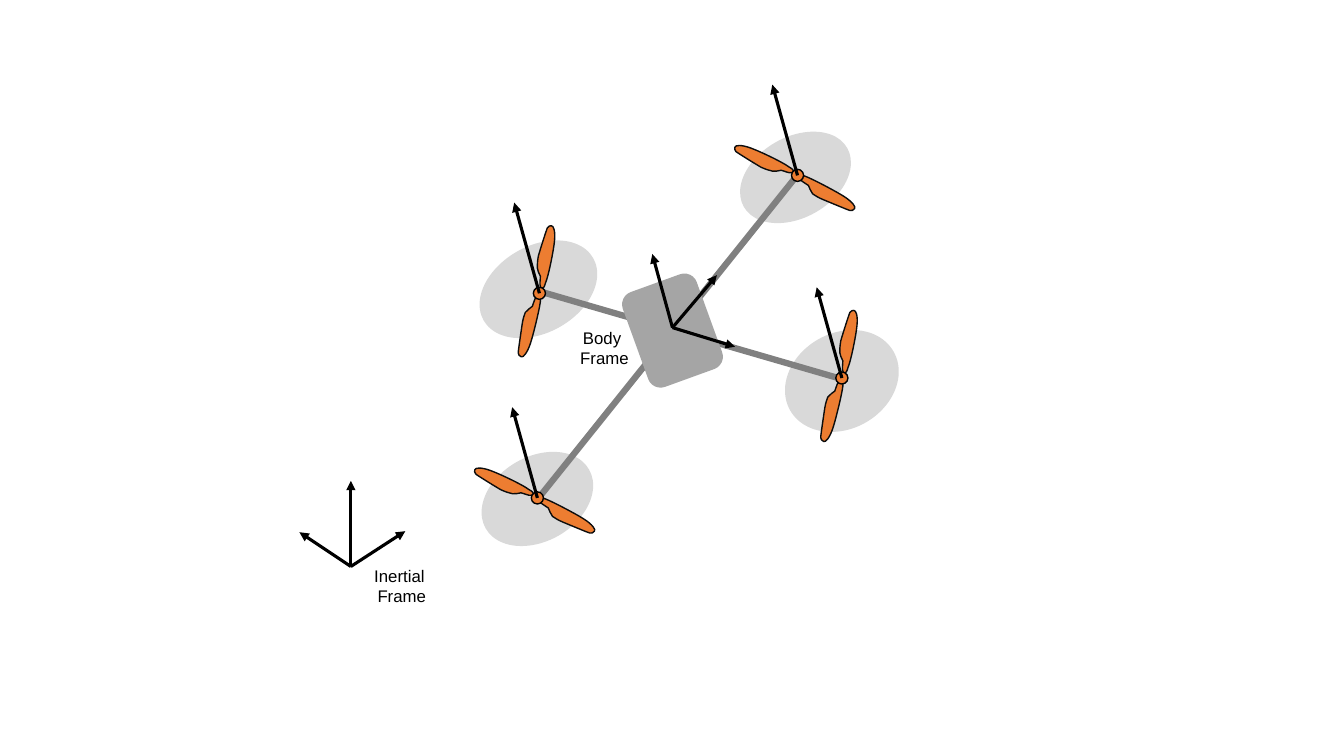
from collections import namedtuple
from math import cos, radians, sin

from pptx import Presentation
from pptx.dml.color import RGBColor
from pptx.enum.shapes import MSO_CONNECTOR, MSO_SHAPE
from pptx.enum.text import MSO_AUTO_SIZE, PP_ALIGN
from pptx.oxml.ns import qn
from pptx.util import Pt
from lxml.etree import SubElement

PX = 9144
COLORS = {
    "disc": "D9D9D9",
    "propeller": "ED7D31",
    "blade_edge": "0D0D0D",
    "arm": "808080",
    "body": "A5A5A5",
    "ink": "000000",
}
TILT = 330.4
BODY_TILT = 340.1
HUB_SIZE = 12
THRUST = (-25, -90)

Box = namedtuple("Box", "left top width height")
Rotor = namedtuple("Rotor", "hub disc_shift disc_size blade_turn")
Blade = namedtuple("Blade", "tilt controls")

ROTORS = [
    Rotor((365, 295), (0, 3), (118, 95), 0),
    Rotor((321, 94), (-2, 2), (118, 80), -75.8),
    Rotor((63, 414), (0, 1), (118, 84), -75.8),
    Rotor((65, 211), (-1, -4), (125, 86), 0),
]
ARMS = [((319, 96), (65, 413)), ((65, 209), (368, 297))]
BODY_AXES = [(-20, -73), (44, -52), (62, 19)]
INERTIAL_AXES = [(0, -85), (54, -35), (-51, -34)]

BLADES = [
    Blade(8.6, [
        (-3, 3),
        (-2, 2), (2, 0), (1, 8),
        (0, 16), (-6, 41), (-9, 50),
        (-12, 59), (-16, 64), (-18, 63),
        (-20, 62), (-21, 61), (-21, 59),
        (-21, 57), (-18, 37), (-17, 30),
        (-16, 24), (-15, 22), (-14, 19),
        (-12, 16), (-9, 15), (-7, 13),
        (-6, 10), (-4, 4), (-3, 3),
    ]),
    Blade(16.5, [
        (1, -7),
        (1, -5), (4, -2), (6, -10),
        (9, -17), (14, -42), (15, -52),
        (16, -62), (14, -67), (12, -67),
        (11, -67), (9, -67), (8, -65),
        (7, -63), (1, -44), (-1, -37),
        (-2, -31), (-2, -29), (-2, -25),
        (-2, -22), (0, -20), (1, -17),
        (1, -14), (0, -8), (1, -7),
    ]),
]


def color(name):
    return RGBColor.from_string(COLORS[name])


def shift(point, delta):
    return point[0] + delta[0], point[1] + delta[1]


def turn(point, degrees):
    (x, y), angle = point, radians(degrees)
    return x * cos(angle) - y * sin(angle), x * sin(angle) + y * cos(angle)


def paint(shape, fill, edge=None):
    shape.shadow.inherit = False
    shape.fill.solid()
    shape.fill.fore_color.rgb = color(fill)
    if edge:
        shape.line.color.rgb = color(edge)
        shape.line.width = Pt(1)
    else:
        shape.line.fill.background()


def add_centred(slide, kind, centre, size, rotation, fill, edge=None):
    (x, y), (width, height) = centre, size
    shape = slide.shapes.add_shape(
        kind, int((x - width / 2) * PX), int((y - height / 2) * PX),
        width * PX, height * PX)
    shape.rotation = rotation
    paint(shape, fill, edge)


def add_line(slide, start, end, stroke, points, arrow=False):
    line = slide.shapes.add_connector(
        MSO_CONNECTOR.STRAIGHT, *(n * PX for n in start + end))
    line.line.color.rgb = color(stroke)
    line.line.width = Pt(points)
    if arrow:
        SubElement(line.line._get_or_add_ln(), qn("a:tailEnd"), type="triangle")
    SubElement(line._element.spPr, qn("a:effectLst"))


def add_axes(slide, origin, deltas):
    for delta in deltas:
        add_line(slide, origin, shift(origin, delta), "ink", 2.25, arrow=True)


def add_label(slide, wording, box):
    frame = slide.shapes.add_textbox(*(n * PX for n in box)).text_frame
    frame.margin_left = frame.margin_right = 0
    frame.margin_top = frame.margin_bottom = 0
    frame.word_wrap = False
    frame.auto_size = MSO_AUTO_SIZE.SHAPE_TO_FIT_TEXT
    paragraph = frame.paragraphs[0]
    paragraph.text = wording
    paragraph.alignment = PP_ALIGN.CENTER
    for run in paragraph.runs:
        run.font.name = "Arial"
        run.font.size = Pt(12)
        run.font.color.rgb = color("ink")


def bend_lines(outline):
    segments = outline.findall(qn("a:lnTo"))
    for i in range(0, len(segments), 3):
        curve, *others = segments[i:i + 3]
        curve.tag = qn("a:cubicBezTo")
        for segment in others:
            curve.append(segment[0])
            outline.remove(segment)


def add_blade(slide, hub, blade, hub_turn):
    upright = [turn(point, -blade.tilt) for point in blade.controls]
    xs, ys = zip(*upright)
    middle = ((min(xs) + max(xs)) / 2, (min(ys) + max(ys)) / 2)
    rotation = blade.tilt + hub_turn
    centre = shift(hub, turn(middle, rotation))
    corners = [((centre[0] + x - middle[0]) * PX, (centre[1] + y - middle[1]) * PX)
               for x, y in upright]
    builder = slide.shapes.build_freeform(*corners[0])
    builder.add_line_segments(corners[1:], close=True)
    shape = builder.convert_to_shape()
    bend_lines(shape._element.find(".//" + qn("a:path")))
    shape.rotation = rotation % 360
    paint(shape, "propeller", "blade_edge")


def add_drone(slide, box):
    corner = (box.left, box.top)
    hubs = [shift(corner, rotor.hub) for rotor in ROTORS]
    for rotor, hub in zip(ROTORS, hubs):
        add_centred(slide, MSO_SHAPE.OVAL, shift(hub, rotor.disc_shift),
                    rotor.disc_size, TILT, "disc")
        for blade in BLADES:
            add_blade(slide, hub, blade, rotor.blade_turn)
    for start, end in ARMS:
        add_line(slide, shift(corner, start), shift(corner, end), "arm", 4.5)
    for hub in hubs:
        add_centred(slide, MSO_SHAPE.OVAL, hub, (HUB_SIZE, HUB_SIZE), TILT,
                    "propeller", "ink")
        add_axes(slide, hub, [THRUST])
    add_centred(slide, MSO_SHAPE.ROUNDED_RECTANGLE, shift(corner, (197, 248)),
                (78, 100), BODY_TILT, "body")
    add_axes(slide, shift(corner, (197, 245)), BODY_AXES)
    add_label(slide, "Body \vFrame", Box(box.left + 105, box.top + 245, 49, 40))


def add_inertial_frame(slide, box):
    add_axes(slide, (box.left + 51, box.top + 85), INERTIAL_AXES)
    add_label(slide, "Inertial \vFrame", Box(box.left + 74, box.top + 84, 55, 40))


def main():
    deck = Presentation()
    deck.slide_width, deck.slide_height = 1333 * PX, 750 * PX
    slide = deck.slides.add_slide(deck.slide_layouts[6])
    add_drone(slide, Box(470, 80, 425, 465))
    add_inertial_frame(slide, Box(297, 477, 129, 124))
    deck.save("out.pptx")


if __name__ == "__main__":
    main()
